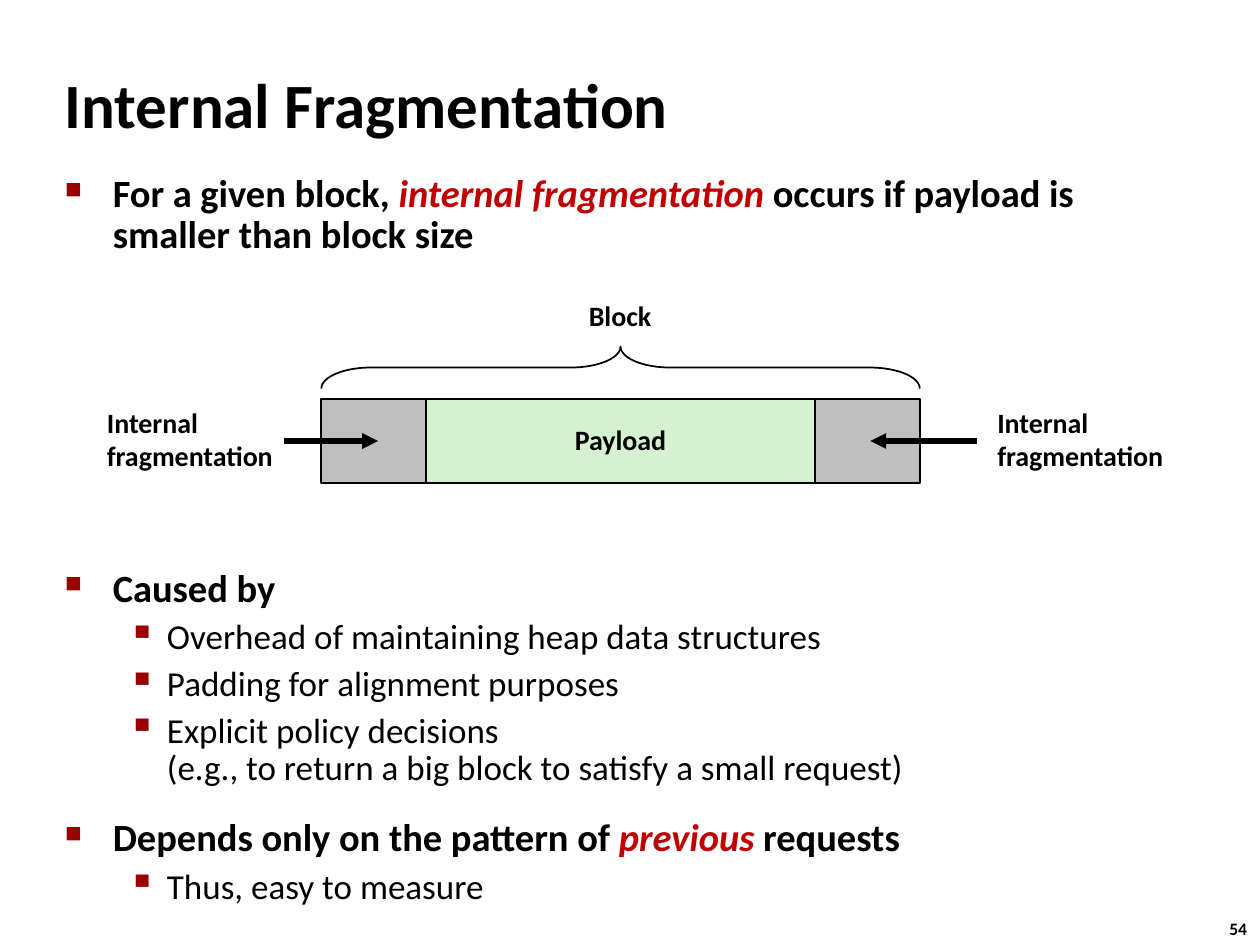
from dataclasses import dataclass

from lxml.etree import SubElement
from pptx import Presentation
from pptx.dml.color import RGBColor
from pptx.enum.shapes import MSO_CONNECTOR as CONN, MSO_SHAPE as SHAPE
from pptx.enum.text import MSO_ANCHOR as ANCHOR, PP_ALIGN as ALIGN
from pptx.oxml.ns import qn
from pptx.util import Inches, Pt

BLACK = RGBColor(0x00, 0x00, 0x00)
RED = RGBColor(0xC0, 0x00, 0x00)
BULLET = RGBColor(0x99, 0x00, 0x00)
GREEN = RGBColor(0xD5, 0xF1, 0xCF)
GREY = RGBColor(0xBF, 0xBF, 0xBF)
FONT = "Calibri"
COLS, ROWS = 120, 90
UNIT = Inches(10) / COLS

BULLETS = [
    (0, 5.6, [("For a given block, ", False), ("internal fragmentation ", True),
              ("occurs if payload is smaller than block size", False)]),
    (0, 179, [("Caused by", False)]),
    (1, 5.6, [("Overhead of maintaining heap data structures", False)]),
    (1, 5.6, [("Padding for alignment purposes", False)]),
    (1, 5.6, [("Explicit policy decisions", False), ("\n", False),
              ("(e.g., to return a big block to satisfy a small request)", False)]),
    (0, 18, [("Depends only on the pattern of ", False), ("previous", True),
             (" requests", False)]),
    (1, 5.6, [("Thus, easy to measure", False)]),
]
LEVELS = [
    dict(size=22, bold=True, left=0.38, hang=0.38, char="■", pct=60),
    dict(size=20, bold=False, left=0.81, hang=0.31, char="▪", pct=110),
]


@dataclass
class Box:
    """A rectangle measured in grid columns and rows."""
    x: float
    y: float
    w: float
    h: float

    def inner(self, x, y, w, h):
        """Return a box placed relative to this one."""
        return Box(self.x + x, self.y + y, w, h)

    def emu(self):
        """Return left, top, width and height as slide lengths."""
        return [round(v * UNIT) for v in (self.x, self.y, self.w, self.h)]


def add_run(p, text, size, bold=True, color=BLACK, italic=False):
    """Add one formatted run to a paragraph."""
    r = p.add_run()
    r.text = text
    f = r.font
    f.name, f.size, f.bold, f.italic = FONT, Pt(size), bold, italic
    f.color.rgb = color


def add_text(s, box, lines, size, spacing=1.0, wrap=False, anchor=ANCHOR.TOP):
    """Add a text box with one paragraph for each line."""
    tf = s.shapes.add_textbox(*box.emu()).text_frame
    tf.word_wrap, tf.vertical_anchor = wrap, anchor
    for i, line in enumerate(lines):
        p = tf.add_paragraph() if i else tf.paragraphs[0]
        p.line_spacing = spacing
        add_run(p, line, size)


def add_shape(s, box, kind, fill=None):
    """Add a thinly outlined shape with an optional fill."""
    sp = s.shapes.add_shape(kind, *box.emu())
    sp.shadow.inherit = False
    sp.line.color.rgb, sp.line.width = BLACK, Pt(1)
    if fill is None:
        sp.fill.background()
    else:
        sp.fill.solid()
        sp.fill.fore_color.rgb = fill
    return sp


def add_arrow(s, box, x1, x2, y):
    """Add a horizontal arrow inside a box."""
    ends = (box.x + x1, box.y + y, box.x + x2, box.y + y)
    c = s.shapes.add_connector(CONN.STRAIGHT, *[round(v * UNIT) for v in ends])
    c.line.color.rgb, c.line.width = BLACK, Pt(3)
    spPr = c._element.spPr
    SubElement(spPr.find(qn("a:ln")), qn("a:tailEnd"), type="triangle")
    SubElement(spPr, qn("a:effectLst"))


def set_bullet(p, left, hang, char, pct):
    """Give a paragraph a hanging indent and a coloured bullet."""
    pPr = p._p.get_or_add_pPr()
    pPr.set("marL", str(Inches(left)))
    pPr.set("indent", str(-Inches(hang)))
    clr = SubElement(pPr, qn("a:buClr"))
    SubElement(clr, qn("a:srgbClr"), val=str(BULLET))
    SubElement(pPr, qn("a:buSzPct"), val=str(pct * 1000))
    SubElement(pPr, qn("a:buChar"), char=char)


def add_body(s, box):
    """Place the bulleted text, with room for the diagram."""
    tf = s.shapes.add_textbox(*box.emu()).text_frame
    tf.word_wrap = True
    for i, (level, before, pieces) in enumerate(BULLETS):
        style = LEVELS[level]
        p = tf.add_paragraph() if i else tf.paragraphs[0]
        p.level, p.line_spacing, p.space_before = level, 0.88, Pt(before)
        set_bullet(p, *[style[k] for k in ("left", "hang", "char", "pct")])
        for text, key in pieces:
            if text == "\n":
                p.add_line_break()
            else:
                add_run(p, text, style["size"], style["bold"],
                        RED if key else BLACK, key)


def add_block(s, box):
    """Place the payload between its two unused ends."""
    end = 10
    payload = box.inner(end, 0, box.w - 2 * end, box.h)
    sp = add_shape(s, payload, SHAPE.RECTANGLE, GREEN)
    tf = sp.text_frame
    tf.word_wrap, tf.vertical_anchor = False, ANCHOR.MIDDLE
    p = tf.paragraphs[0]
    p.alignment, p.line_spacing = ALIGN.CENTER, 0.98
    add_run(p, "Payload", 16)
    for x in (box.w - end, 0):
        add_shape(s, box.inner(x, 0, end, box.h), SHAPE.RECTANGLE, GREY)


def add_diagram(s, box):
    """Place the block with its brace, labels and arrows."""
    block = box.inner(21.6, 10, 57, 8)
    add_block(s, block)
    mid, thick = block.w / 2, 4
    brace = add_shape(s, block.inner(mid - thick / 2, -3 - mid, thick, block.w),
                      SHAPE.RIGHT_BRACE)
    brace.rotation = 270
    brace.adjustments[0] = 1.19
    add_text(s, block.inner(mid - 4.2, -10, 8.4, 4.4), ["Block"], 16, 0.98)
    for x, start, tip in ((0, 18, 27), (84.8, 84, 73.9)):
        add_text(s, box.inner(x, 10.2, 18.4, 7.6),
                 ["Internal", "fragmentation"], 16, 0.98)
        add_arrow(s, box, start, tip, 14)


def main():
    """Build the slide and save it."""
    prs = Presentation()
    prs.slide_width, prs.slide_height = round(COLS * UNIT), round(ROWS * UNIT)
    s = prs.slides.add_slide(prs.slide_layouts[6])
    page = Box(0, 0, COLS, ROWS)
    add_text(s, page.inner(115.9, 86.8, 4.4, 3.2), ["54"], 10)
    add_text(s, page.inner(5, 6, 88.3, 7.6), ["Internal Fragmentation"], 36,
             wrap=True, anchor=ANCHOR.MIDDLE)
    add_body(s, page.inner(5, 16.1, 109.1, 70.9))
    add_diagram(s, page.inner(9, 28, 103.2, 18))
    prs.save("out.pptx")


if __name__ == "__main__":
    main()
